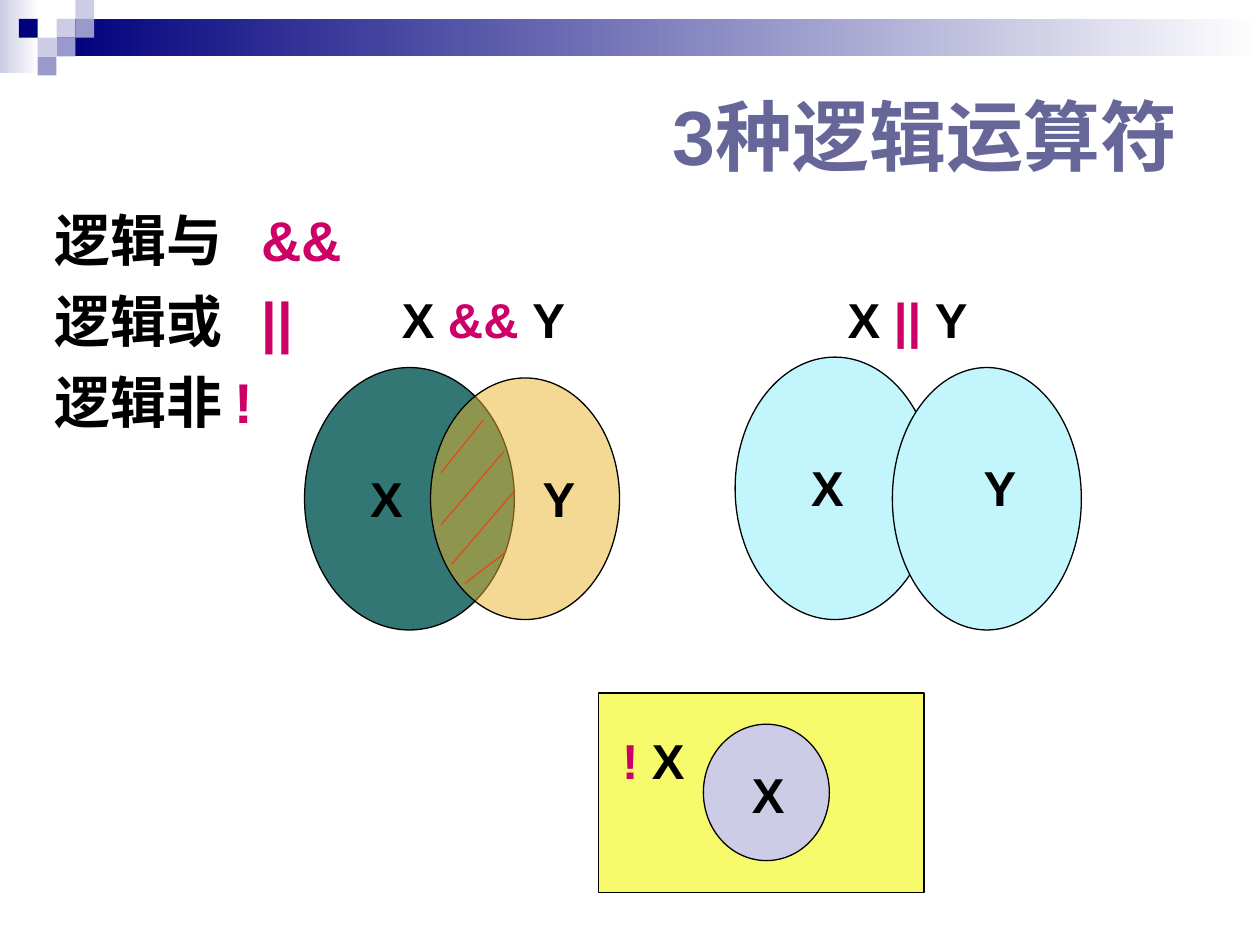
from dataclasses import dataclass

from lxml.etree import SubElement
from pptx import Presentation
from pptx.dml.color import RGBColor
from pptx.enum.shapes import MSO_CONNECTOR, MSO_SHAPE
from pptx.enum.text import MSO_ANCHOR, PP_ALIGN
from pptx.oxml.ns import qn
from pptx.util import Cm, Pt

COLORS = {
    "white": "FFFFFF",
    "black": "000000",
    "navy": "00007D",
    "lavender": "CCCCE6",
    "periwinkle": "9999CC",
    "title": "666699",
    "operator": "CC0066",
    "teal": "337774",
    "amber": "EAB42C",
    "cyan": "C3F5FD",
    "yellow": "F7FA6A",
    "hatch": "DE4D1A",
}
TILE = 0.38
OUTLINE_WIDTH = Pt(0.75)
LABEL_FORMAT = {"name": "Arial", "bold": True, "size": Pt(28)}
TITLE_FORMAT = LABEL_FORMAT | {"size": Pt(44)}
LIST_FORMAT = LABEL_FORMAT | {"size": Pt(32)}


@dataclass(frozen=True)
class Block:
    left: float
    top: float
    width: float
    height: float
    color: str
    kind: MSO_SHAPE = MSO_SHAPE.RECTANGLE
    fades: bool = False
    outlined: bool = False
    opacity: int = 100


@dataclass(frozen=True)
class Hatch:
    start: tuple[float, float]
    end: tuple[float, float]


@dataclass(frozen=True)
class Label:
    left: float
    top: float
    width: float
    runs: tuple[tuple[str, str], ...]


def color(name: str) -> RGBColor:
    return RGBColor.from_string(COLORS[name])


def tile(column: int, row: int, name: str) -> Block:
    return Block(column * TILE, row * TILE, TILE, TILE, name)


def region(left, top, width, height, name, kind=MSO_SHAPE.OVAL, opacity=100) -> Block:
    return Block(left, top, width, height, name, kind, outlined=True, opacity=opacity)


def draw_block(slide, block: Block) -> None:
    shape = slide.shapes.add_shape(
        block.kind, Cm(block.left), Cm(block.top), Cm(block.width), Cm(block.height)
    )
    shape.shadow.inherit = False
    if block.fades:
        shape.fill.gradient()
        shape.fill.gradient_angle = 0
        for stop, name in zip(shape.fill.gradient_stops, (block.color, "white")):
            stop.color.rgb = color(name)
    else:
        shape.fill.solid()
        shape.fill.fore_color.rgb = color(block.color)
    if block.opacity < 100:
        solid = shape._element.spPr.find(qn("a:solidFill"))
        SubElement(solid[0], qn("a:alpha"), val=str(block.opacity * 1000))
    if block.outlined:
        shape.line.color.rgb = color("black")
        shape.line.width = OUTLINE_WIDTH
    else:
        shape.line.fill.background()


def draw_hatch(slide, hatch: Hatch) -> None:
    points = [Cm(value) for value in hatch.start + hatch.end]
    connector = slide.shapes.add_connector(MSO_CONNECTOR.STRAIGHT, *points)
    connector.line.color.rgb = color("hatch")
    connector.line.width = OUTLINE_WIDTH
    SubElement(connector._element.spPr, qn("a:effectLst"))


def add_frame(slide, left: float, top: float, width: float, height: float):
    frame = slide.shapes.add_textbox(Cm(left), Cm(top), Cm(width), Cm(height)).text_frame
    frame.word_wrap = True
    return frame


def write_runs(paragraph, runs: tuple[tuple[str, str], ...], text_format: dict) -> None:
    for text, name in runs:
        run = paragraph.add_run()
        run.text = text
        run.font.color.rgb = color(name)
        for attribute, value in text_format.items():
            setattr(run.font, attribute, value)


def draw_label(slide, label: Label) -> None:
    frame = add_frame(slide, label.left, label.top, label.width, 1.45)
    frame.paragraphs[0].alignment = PP_ALIGN.LEFT
    write_runs(frame.paragraphs[0], label.runs, LABEL_FORMAT)


def draw_title(slide, text: str) -> None:
    frame = add_frame(slide, 13.31, 1.12, 12.01, 3.2)
    frame.vertical_anchor = MSO_ANCHOR.MIDDLE
    write_runs(frame.paragraphs[0], ((text, "title"),), TITLE_FORMAT)


def draw_operator_list(slide, rows: tuple[tuple[str, str], ...]) -> None:
    frame = add_frame(slide, 0.84, 4.01, 6.86, 4.9)
    for index, (name, operator) in enumerate(rows):
        paragraph = frame.add_paragraph() if index else frame.paragraphs[0]
        paragraph.alignment = PP_ALIGN.JUSTIFY
        if index:
            paragraph.space_before = Pt(8)
        tabs = SubElement(paragraph._p.get_or_add_pPr(), qn("a:tabLst"))
        SubElement(tabs, qn("a:tab"), pos=str(Cm(4.18)), algn="l")
        write_runs(paragraph, ((name, "black"), (operator, "operator")), LIST_FORMAT)


def letter(left: float, top: float, text: str) -> Label:
    return Label(left, top, 1.3, ((text, "black"),))


def expression(left: float, width: float, operator: str) -> Label:
    runs = (("X ", "black"), (f"{operator} ", "operator"), ("Y", "black"))
    return Label(left, 5.72, width, runs)


BANNER = (
    Block(0, 0, 0.79, 1.47, "lavender", fades=True),
    Block(1.14, 0.38, 24.26, 0.76, "navy", fades=True),
    tile(3, 1, "lavender"),
    tile(4, 0, "lavender"),
    tile(4, 1, "periwinkle"),
    tile(2, 2, "lavender"),
    tile(1, 1, "navy"),
    tile(3, 2, "periwinkle"),
    tile(2, 3, "periwinkle"),
)
REGIONS = (
    region(6.14, 7.41, 4.23, 5.29, "teal"),
    region(8.68, 7.62, 3.81, 4.87, "amber", opacity=50),
    region(14.82, 7.2, 4.02, 5.29, "cyan"),
    region(17.99, 7.41, 3.81, 5.29, "cyan"),
    region(12.07, 13.97, 6.56, 4.02, "yellow", MSO_SHAPE.RECTANGLE),
    region(14.18, 14.6, 2.54, 2.75, "lavender"),
)
HATCHES = (
    Hatch((9.74, 8.47), (8.89, 9.53)),
    Hatch((10.16, 9.1), (8.89, 10.58)),
    Hatch((10.37, 9.9), (9.1, 11.38)),
    Hatch((10.2, 11.13), (9.37, 11.76)),
)
LABELS = (
    letter(7.21, 9.32, "X"),
    letter(10.69, 9.32, "Y"),
    letter(16.1, 9.1, "X"),
    letter(19.58, 9.1, "Y"),
    letter(14.91, 15.29, "X"),
    expression(7.85, 4.1, "&&"),
    expression(16.84, 3.2, "||"),
    Label(12.29, 14.6, 2.0, (("! ", "operator"), ("X", "black"))),
)
OPERATORS = (("逻辑与\t", "&&"), ("逻辑或\t", "||"), ("逻辑非 ", "!"))


def main() -> None:
    presentation = Presentation()
    presentation.slide_width = Cm(25.4)
    presentation.slide_height = Cm(19.05)
    slide = presentation.slides.add_slide(presentation.slide_layouts[6])
    for block in BANNER:
        draw_block(slide, block)
    draw_title(slide, "3种逻辑运算符")
    draw_operator_list(slide, OPERATORS)
    for block in REGIONS:
        draw_block(slide, block)
    for hatch in HATCHES:
        draw_hatch(slide, hatch)
    for label in LABELS:
        draw_label(slide, label)
    presentation.save("out.pptx")


if __name__ == "__main__":
    main()
